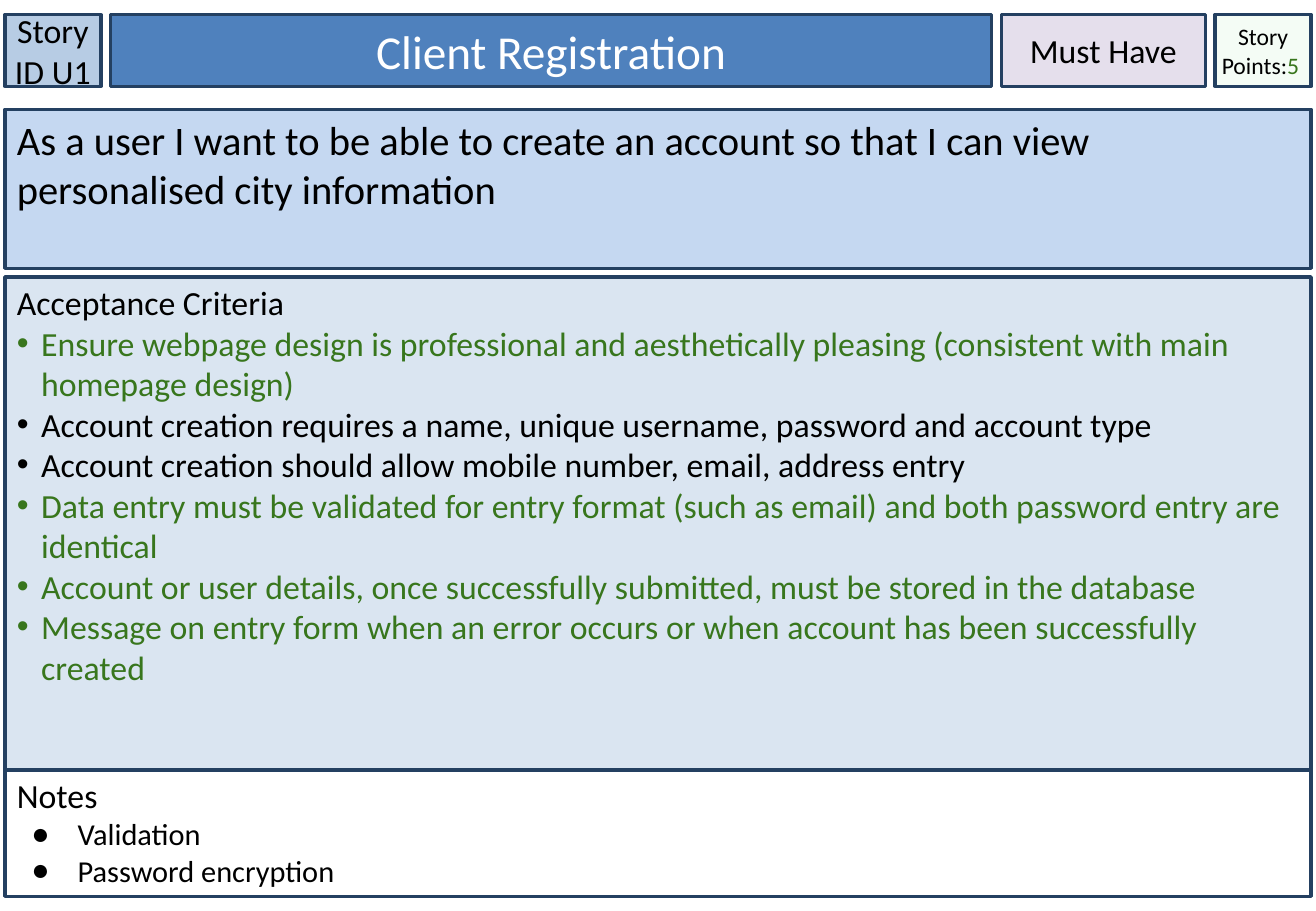
from lxml import etree
from pptx import Presentation
from pptx.dml.color import RGBColor
from pptx.enum.shapes import MSO_SHAPE
from pptx.enum.text import MSO_ANCHOR, MSO_AUTO_SIZE, PP_ALIGN
from pptx.oxml.ns import qn
from pptx.util import Inches, Pt

RECTANGLE = MSO_SHAPE.RECTANGLE
TOP, MIDDLE = MSO_ANCHOR.TOP, MSO_ANCHOR.MIDDLE
LEFT, CENTER = PP_ALIGN.LEFT, PP_ALIGN.CENTER
NO_AUTOFIT = MSO_AUTO_SIZE.NONE

THEME = {
    "font": "Calibri",
    "border": "244061", "text": "000000", "done": "38761D", "title_text": "FFFFFF",
    "id": "B7CCE4", "title": "4F81BD", "priority": "E5DFEC", "points": "CCF0CD",
    "story": "C5D8F1", "criteria": "DAE5F1", "notes": "FFFFFF",
    "title_size": 28, "story_size": 24, "body_size": 20, "note_size": 18, "points_size": 14,
}


def style_box(box, place, fill, side=0.1, top=0.05, anchor=TOP):
    box.left, box.top, box.width, box.height = [Inches(length) for length in place]
    box.fill.solid()
    box.fill.fore_color.rgb = RGBColor.from_string(THEME[fill])
    box.line.color.rgb = RGBColor.from_string(THEME["border"])
    box.line.width = Pt(2)
    box.shadow.inherit = False
    frame = box.text_frame
    frame.word_wrap = True
    frame.auto_size = NO_AUTOFIT
    frame.vertical_anchor = anchor
    frame.margin_left = frame.margin_right = Inches(side)
    frame.margin_top, frame.margin_bottom = Inches(top), Inches(0.05)


def write_para(para, spans, size, align=LEFT, bullet=None, indent=0.0, hanging=0.0):
    para.alignment = align
    for text, color in spans:
        span = para.add_run()
        span.text = text
        span.font.name = THEME["font"]
        span.font.size = Pt(THEME[size])
        span.font.color.rgb = RGBColor.from_string(THEME[color])
    if bullet:
        properties = para._p.get_or_add_pPr()
        properties.set("marL", str(Inches(indent)))
        properties.set("indent", str(-Inches(hanging)))
        bullet_color = etree.SubElement(properties, qn("a:buClr"))
        etree.SubElement(bullet_color, qn("a:srgbClr"), val=THEME[spans[0][1]])
        etree.SubElement(properties, qn("a:buFont"), typeface="Arial")
        etree.SubElement(properties, qn("a:buChar"), char=bullet)


deck = Presentation()
deck.slide_width, deck.slide_height = Inches(10.83), Inches(7.5)
page = deck.slides.add_slide(deck.slide_layouts[5])
shapes = page.shapes

# Header row: title, then the small cards
HEADER_TOP, HEADER_HEIGHT = 0.12, 0.59
title = shapes.title
style_box(title, (0.91, HEADER_TOP, 7.25, HEADER_HEIGHT), "title", anchor=MIDDLE)
write_para(title.text_frame.paragraphs[0], [("Client Registration", "title_text")],
           "title_size", CENTER)

header_cards = [
    (0.04, 0.79, "id", "body_size", [("Story ID U1", "text")]),
    (8.24, 1.68, "priority", "body_size", [("Must Have", "text")]),
    (10, 0.79, "points", "points_size", [("Story Points:", "text"), ("5 ", "done")]),
]
for left, width, fill, size, spans in header_cards:
    card = shapes.add_shape(RECTANGLE, 0, 0, 0, 0)
    style_box(card, (left, HEADER_TOP, width, HEADER_HEIGHT), fill, side=0, anchor=MIDDLE)
    write_para(card.text_frame.paragraphs[0], spans, size, CENTER)
    if fill == "points":
        fill_color = card._element.spPr.find(qn("a:solidFill"))[0]
        etree.SubElement(fill_color, qn("a:alpha"), val="20000")

# Full-width panels: story, acceptance criteria, notes
criteria = [
    ("Ensure webpage design is professional and aesthetically pleasing "
     "(consistent with main homepage design)", "done"),
    ("Account creation requires a name, unique username, password and account type", "text"),
    ("Account creation should allow mobile number, email, address entry", "text"),
    ("Data entry must be validated for entry format (such as email) "
     "and both password entry are identical", "done"),
    ("Account or user details, once successfully submitted, "
     "must be stored in the database", "done"),
    ("Message on entry form when an error occurs "
     "or when account has been successfully created", "done"),
]
notes = [("Validation", "text"), ("Password encryption", "text")]
story = ("As a user I want to be able to create an account "
         "so that I can view personalised city information")

panels = [
    (0.9, 1.31, "story", 0.05, story, "story_size", [], {}),
    (2.28, 4.06, "criteria", 0.04, "Acceptance Criteria", "body_size", criteria,
     {"size": "body_size", "bullet": "•", "indent": 0.2, "hanging": 0.2}),
    (6.34, 1.04, "notes", 0.04, "Notes", "body_size", notes,
     {"size": "note_size", "bullet": "●", "indent": 0.5, "hanging": 0.38}),
]
for panel_top, height, fill, inset, heading, heading_size, items, item_style in panels:
    panel = shapes.add_shape(RECTANGLE, 0, 0, 0, 0)
    style_box(panel, (0.04, panel_top, 10.75, height), fill, top=inset)
    write_para(panel.text_frame.paragraphs[0], [(heading, "text")], heading_size)
    for item in items:
        write_para(panel.text_frame.add_paragraph(), [item], **item_style)

deck.save("out.pptx")
